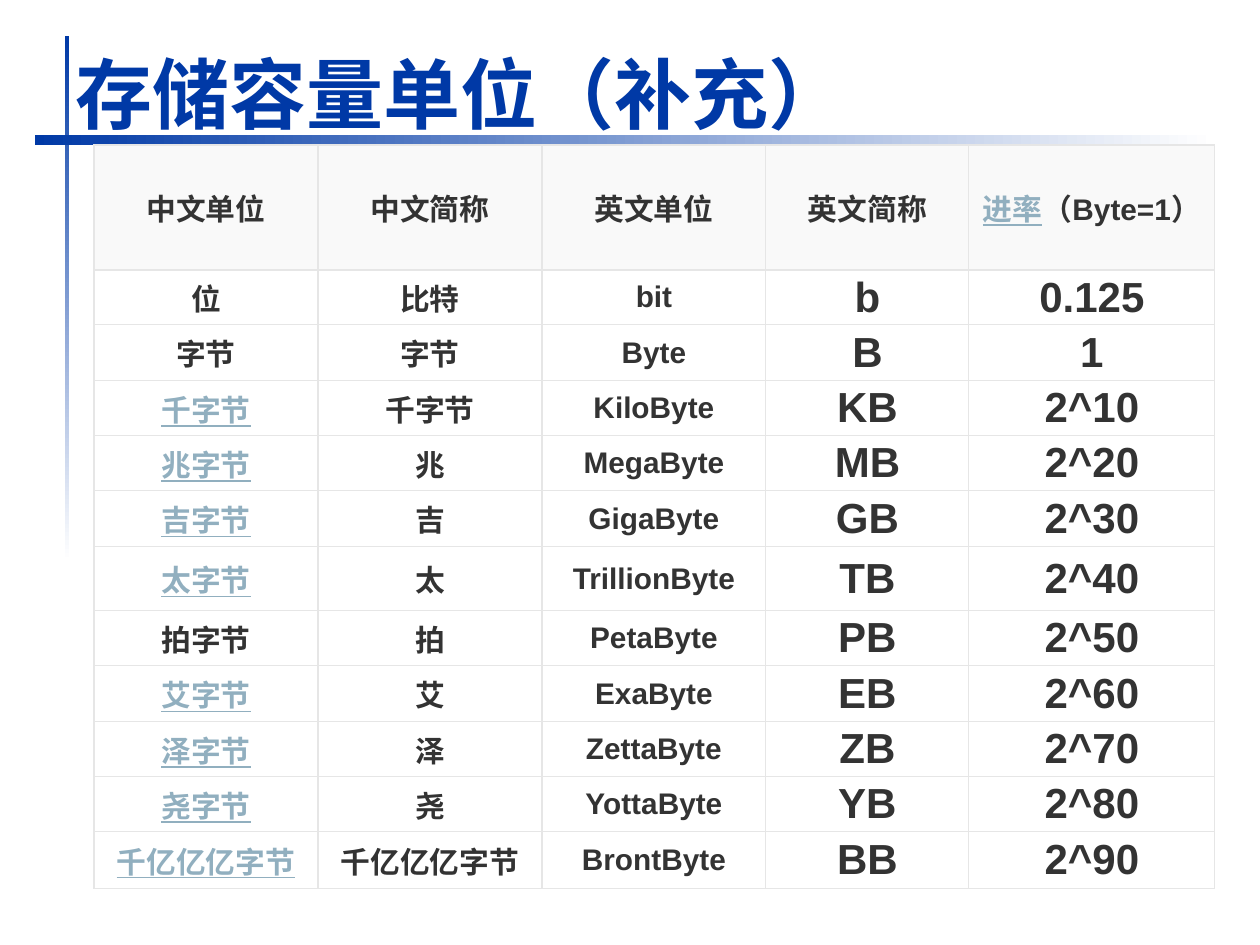
from dataclasses import dataclass

from pptx import Presentation
from pptx.dml.color import RGBColor
from pptx.enum.shapes import MSO_SHAPE
from pptx.enum.text import MSO_ANCHOR, PP_ALIGN
from pptx.oxml.ns import qn
from pptx.util import Pt
from lxml.etree import SubElement

SCALE = 914400 / 126
BLUE, WHITE, INK, LINK = "0039A6", "FFFFFF", "333333", "91AFBF"
HEAD, EDGE = "F9F9F9", "E6E6E6"
COLS = [224, 224, 224, 203, 246]
ROWS = [125, 55, 56, 55, 55, 56, 64, 55, 56, 55, 55, 57]


@dataclass
class Bar:
    """A fading bar with its place and gradient angle."""
    left: int
    top: int
    width: int
    height: int
    angle: int


@dataclass
class Unit:
    """One storage unit, with its row of names and its rate."""
    name: str
    short: str
    word: str
    sign: str
    rate: str
    link: bool = True


BARS = [Bar(65, 36, 4, 525, 270), Bar(35, 135, 1180, 10, 0)]
UNITS = [
    Unit("位", "比特", "bit", "b", "0.125", False),
    Unit("字节", "字节", "Byte", "B", "1", False),
    Unit("千字节", "千字节", "KiloByte", "KB", "2^10"),
    Unit("兆字节", "兆", "MegaByte", "MB", "2^20"),
    Unit("吉字节", "吉", "GigaByte", "GB", "2^30"),
    Unit("太字节", "太", "TrillionByte", "TB", "2^40"),
    Unit("拍字节", "拍", "PetaByte", "PB", "2^50", False),
    Unit("艾字节", "艾", "ExaByte", "EB", "2^60"),
    Unit("泽字节", "泽", "ZettaByte", "ZB", "2^70"),
    Unit("尧字节", "尧", "YottaByte", "YB", "2^80"),
    Unit("千亿亿亿字节", "千亿亿亿字节", "BrontByte", "BB", "2^90"),
]


def px(count: int) -> int:
    """Turn px into EMU."""
    return round(count * SCALE)


def paint(code: str) -> RGBColor:
    """Turn a hex string into a colour."""
    return RGBColor.from_string(code)


def write(para, text: str, size: int, code: str = INK, link: bool = False) -> None:
    """Add one bold run to a paragraph."""
    run = para.add_run()
    run.text = text
    font = run.font
    font.name, font.size, font.bold = "Arial", Pt(size), True
    font.color.rgb = paint(code)
    if link:
        font.underline = True


def draw_bar(slide, bar: Bar) -> None:
    """Draw a bar that fades from blue to white."""
    box = slide.shapes.add_shape(MSO_SHAPE.RECTANGLE, px(bar.left), px(bar.top),
                                 px(bar.width), px(bar.height))
    box.shadow.inherit = False
    box.line.fill.background()
    box.fill.gradient()
    box.fill.gradient_angle = bar.angle
    for stop, code in zip(box.fill.gradient_stops, (BLUE, WHITE)):
        stop.color.rgb = paint(code)


def draw_title(slide, text: str) -> None:
    """Place the title in front of the bars."""
    title = slide.shapes.title
    slide.shapes._spTree.append(title._element)
    title.left, title.top, title.width, title.height = map(px, (63, 38, 1134, 107))
    frame = title.text_frame
    frame.word_wrap = True
    frame.vertical_anchor = MSO_ANCHOR.BOTTOM
    para = frame.paragraphs[0]
    para.alignment = PP_ALIGN.LEFT
    write(para, text, 44, BLUE)


def style(cell, code: str):
    """Set a cell's edges, fill and margins, and return its paragraph."""
    props = cell._tc.get_or_add_tcPr()
    for side in ("a:lnL", "a:lnR", "a:lnT", "a:lnB"):
        line = SubElement(props, qn(side), w=str(Pt(0.75)))
        SubElement(SubElement(line, qn("a:solidFill")), qn("a:srgbClr"), val=EDGE)
    cell.fill.solid()
    cell.fill.fore_color.rgb = paint(code)
    cell.margin_left = cell.margin_right = px(13)
    cell.margin_top = cell.margin_bottom = px(3)
    cell.vertical_anchor = MSO_ANCHOR.MIDDLE
    para = cell.text_frame.paragraphs[0]
    para.alignment = PP_ALIGN.CENTER
    return para


def draw_table(slide) -> None:
    """Draw the table of storage units."""
    frame = slide.shapes.add_table(len(ROWS), len(COLS), px(94), px(145),
                                   px(sum(COLS)), px(sum(ROWS)))
    table = frame.table
    table.first_row = table.horz_banding = False
    for col, width in zip(table.columns, COLS):
        col.width = px(width)
    for row, height in zip(table.rows, ROWS):
        row.height = px(height)
    for col, text in enumerate(("中文单位", "中文简称", "英文单位", "英文简称")):
        write(style(table.cell(0, col), HEAD), text, 17)
    para = style(table.cell(0, 4), HEAD)
    write(para, "进率", 17, LINK, True)
    write(para, "（Byte=1）", 17)
    for row, unit in enumerate(UNITS, 1):
        texts = (unit.name, unit.short, unit.word, unit.sign, unit.rate)
        for col, text in enumerate(texts):
            link = unit.link and col == 0
            write(style(table.cell(row, col), WHITE), text,
                  24 if col > 2 else 17, LINK if link else INK, link)


def main() -> None:
    """Build and save the slide."""
    deck = Presentation()
    deck.slide_width, deck.slide_height = px(1260), px(945)
    slide = deck.slides.add_slide(deck.slide_layouts[5])
    for bar in BARS:
        draw_bar(slide, bar)
    draw_title(slide, "存储容量单位（补充）")
    draw_table(slide)
    deck.save("out.pptx")


if __name__ == "__main__":
    main()
